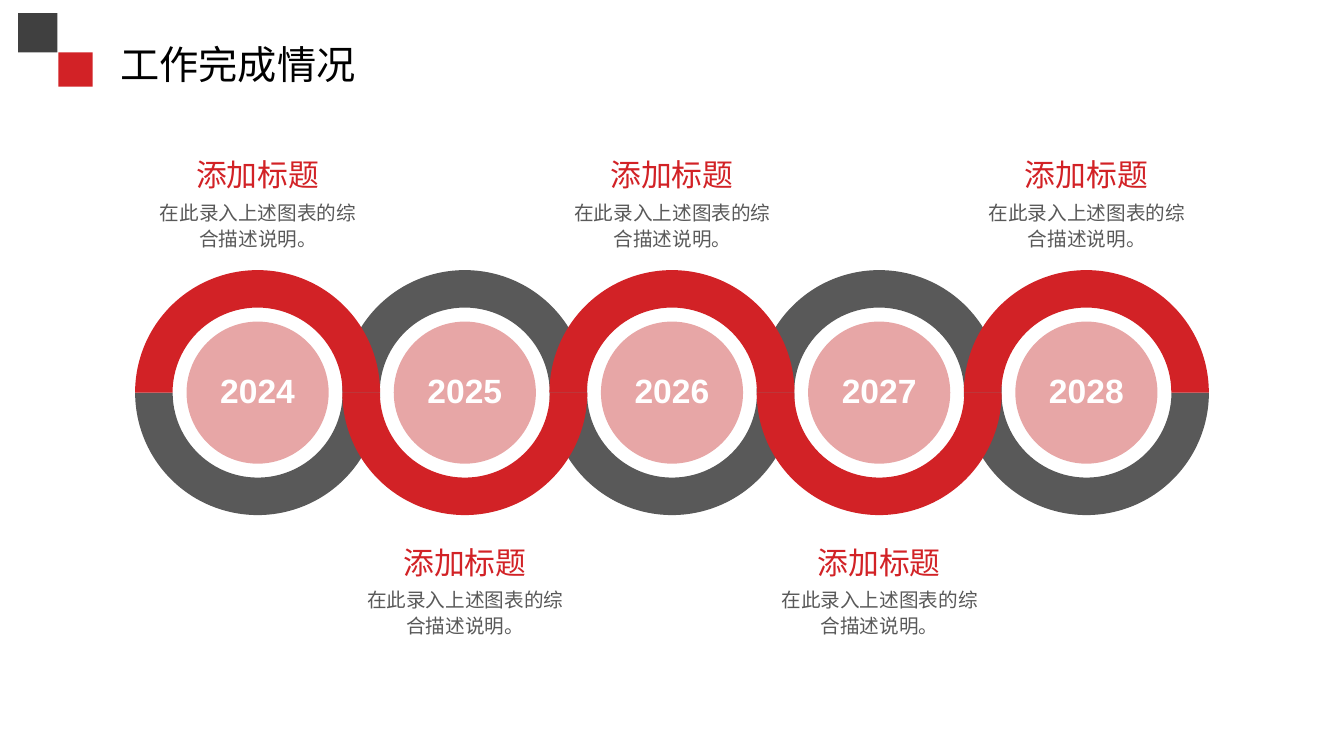
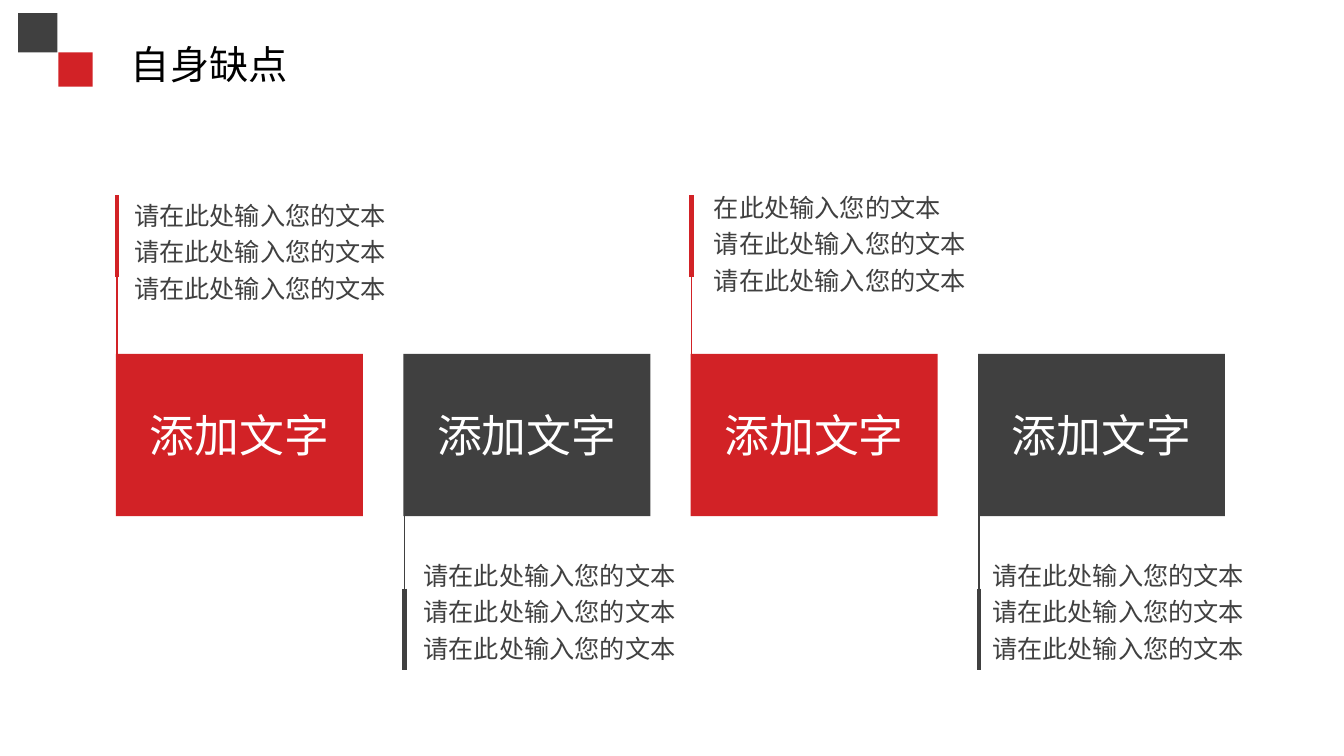
"""Build a ring timeline slide and a card slide that share one title style."""
from lxml import etree
from pptx import Presentation
from pptx.dml.color import RGBColor
from pptx.enum.shapes import MSO_CONNECTOR, MSO_SHAPE
from pptx.enum.text import MSO_ANCHOR, MSO_AUTO_SIZE, PP_ALIGN
from pptx.oxml.ns import qn
from pptx.util import Inches, Pt

FONT = "Arial"
RED, DARK, GRAY, BUBBLE = "D22226", "404040", "595959", "BD0000"
WHITE, BLACK = "FFFFFF", "000000"
CORNER_SQUARES = [(0.18, 0.13, 0.39, DARK), (0.58, 0.52, 0.34, RED)]

TIMELINE_TITLE = "工作完成情况"
YEARS = ["2024", "2025", "2026", "2027", "2028"]
STAGE_HEADING = "添加标题"
STAGE_DETAIL = "在此录入上述图表的综合描述说明。"
RING_LEFT, RING_TOP, RING_SIZE = 1.34, 2.68, 2.43
RING_PITCH = (9.56 - RING_LEFT) / (len(YEARS) - 1)
BUBBLE_SIZE = 1.41

CARDS_TITLE = "自身缺点"
CARD_LABEL = "添加文字"
NOTE = "请在此处输入您的文本"
CARDS = [
    (RED, 1.24, 1.88, [NOTE] * 3),
    (DARK, 4.11, 5.45, [NOTE] * 3),
    (RED, 6.99, 1.8, ["在此处输入您的文本", NOTE, NOTE]),
    (DARK, 9.75, 5.45, [NOTE] * 3),
]
CARD_LEFT, CARD_TOP, CARD_PITCH = 1.15, 3.51, 2.85
CARD_WIDTH, CARD_HEIGHT = 2.45, 1.61
STEMS = {
    RED: [(3.52, 2.71, 1), (2.75, 1.93, 3.5)],
    DARK: [(5.06, 5.88, 1), (5.84, 6.65, 3.5)],
}


def rgb(value):
    return RGBColor.from_string(value)


def write(frame, *lines, size, color, bold=False, align=PP_ALIGN.CENTER,
          anchor=MSO_ANCHOR.TOP, spacing=1.0, inset=(0.1, 0.05), wrap=True):
    frame.auto_size = MSO_AUTO_SIZE.NONE
    frame.word_wrap = wrap
    frame.vertical_anchor = anchor
    frame.margin_left = frame.margin_right = Inches(inset[0])
    frame.margin_top = frame.margin_bottom = Inches(inset[1])
    for index, line in enumerate(lines):
        paragraph = frame.add_paragraph() if index else frame.paragraphs[0]
        paragraph.alignment = align
        paragraph.line_spacing = spacing
        run = paragraph.add_run()
        run.text = line
        run.font.name = FONT
        run.font.size = Pt(size)
        run.font.bold = bold
        run.font.color.rgb = rgb(color)


def add_text(slide, box, *lines, **text_format):
    textbox = slide.shapes.add_textbox(*map(Inches, box))
    write(textbox.text_frame, *lines, **text_format)


def add_filled(slide, preset, box, color, alpha=None):
    shape = slide.shapes.add_shape(preset, *map(Inches, box))
    shape.shadow.inherit = False
    shape.fill.solid()
    shape.fill.fore_color.rgb = rgb(color)
    shape.line.fill.background()
    if alpha:
        solid = shape.fill._xPr.find(qn("a:solidFill"))
        etree.SubElement(solid[0], qn("a:alpha"), val=str(alpha * 1000))
    return shape


def add_stem(slide, x, start, end, width, color):
    stem = slide.shapes.add_connector(
        MSO_CONNECTOR.STRAIGHT, *map(Inches, (x, start, x, end)))
    stem.line.color.rgb = rgb(color)
    stem.line.width = Pt(width)
    etree.SubElement(stem._element.spPr, qn("a:effectLst"))


def add_titled_slide(deck, title, title_width):
    slide = deck.slides.add_slide(deck.slide_layouts[5])
    heading = slide.shapes.title
    heading.left, heading.top = Inches(1.08), Inches(0.36)
    heading.width, heading.height = Inches(title_width), Inches(0.55)
    write(heading.text_frame, title, size=28, color=BLACK, anchor=MSO_ANCHOR.MIDDLE)
    for left, top, side, color in CORNER_SQUARES:
        add_filled(slide, MSO_SHAPE.RECTANGLE, (left, top, side, side), color)
    return slide


def add_half_ring(slide, left, color, rotation):
    arc = add_filled(slide, MSO_SHAPE.BLOCK_ARC,
                     (left, RING_TOP, RING_SIZE, RING_SIZE), color)
    for index, value in enumerate((108, 0, 0.153)):
        arc.adjustments[index] = value
    arc.rotation = rotation


def build_timeline(deck):
    slide = add_titled_slide(deck, TIMELINE_TITLE, 2.56)
    lefts = [RING_LEFT + index * RING_PITCH for index in range(len(YEARS))]
    for color, even_rotation in ((GRAY, 180), (RED, 0)):
        for index, left in enumerate(lefts):
            rotation = 180 - even_rotation if index % 2 else even_rotation
            add_half_ring(slide, left, color, rotation)

    margin = (RING_SIZE - BUBBLE_SIZE) / 2
    for index, (left, year) in enumerate(zip(lefts, YEARS)):
        bubble = add_filled(
            slide, MSO_SHAPE.OVAL,
            (left + margin, RING_TOP + margin, BUBBLE_SIZE, BUBBLE_SIZE),
            BUBBLE, alpha=35)
        write(bubble.text_frame, year, size=24, color=WHITE, bold=True,
              anchor=MSO_ANCHOR.MIDDLE, spacing=0.9, inset=(0, 0))
        center = left + RING_SIZE / 2
        top = 5.34 if index % 2 else 1.5
        add_text(slide, (center - 0.72, top, 1.44, 0.47), STAGE_HEADING,
                 size=22, color=RED, wrap=False)
        add_text(slide, (center - 1.07, top + 0.42, 2.15, 0.62), STAGE_DETAIL,
                 size=14, color=GRAY, spacing=1.1)


def build_cards(deck):
    slide = add_titled_slide(deck, CARDS_TITLE, 1.99)
    for index, (color, note_left, note_top, notes) in enumerate(CARDS):
        left = CARD_LEFT + index * CARD_PITCH
        for start, end, width in STEMS[color]:
            add_stem(slide, left + 0.01, start, end, width, color)
        add_text(slide, (note_left, note_top, 3.3, 1.36), *notes, size=18,
                 color=DARK, align=PP_ALIGN.LEFT, spacing=1.2, inset=(0.09, 0.05))
        card = add_filled(slide, MSO_SHAPE.RECTANGLE,
                          (left, CARD_TOP, CARD_WIDTH, CARD_HEIGHT), color)
        write(card.text_frame, CARD_LABEL, size=32, color=WHITE,
              anchor=MSO_ANCHOR.MIDDLE)


def main():
    deck = Presentation()
    deck.slide_width, deck.slide_height = Inches(13.33), Inches(7.5)
    build_timeline(deck)
    build_cards(deck)
    deck.save("out.pptx")


if __name__ == "__main__":
    main()
